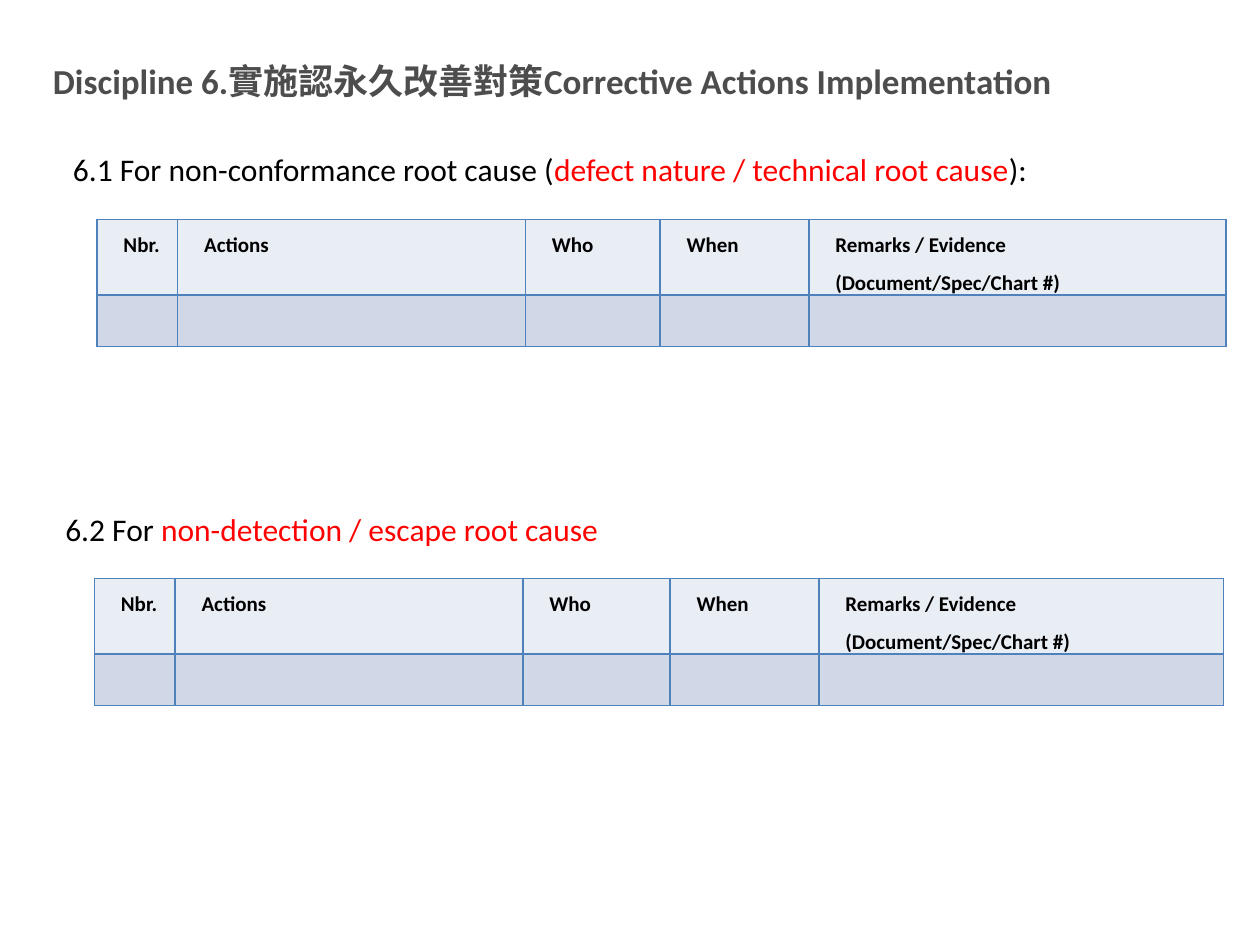
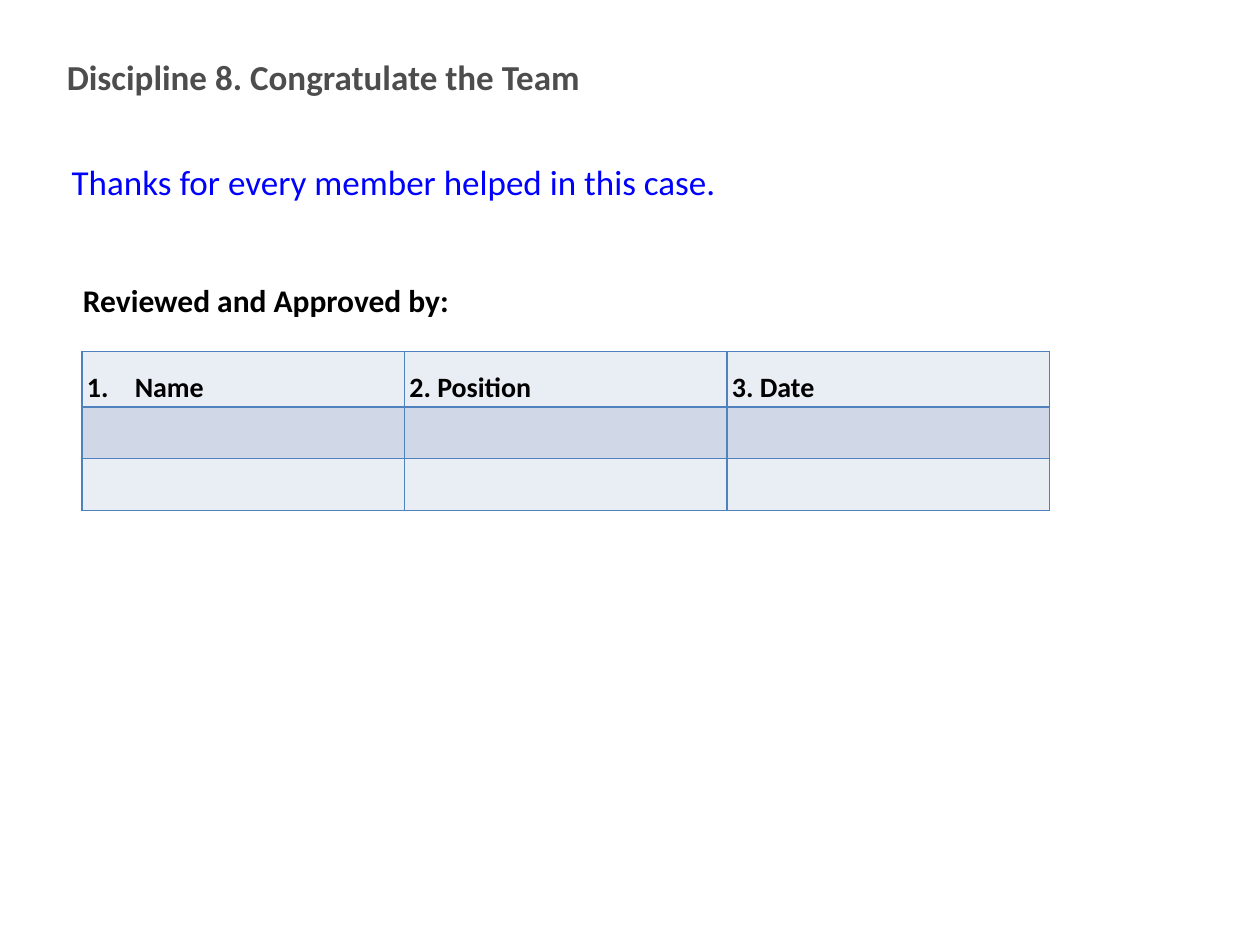
from lxml import etree
from pptx import Presentation
from pptx.dml.color import RGBColor
from pptx.enum import text
from pptx.oxml.ns import qn
from pptx.util import Inches, Pt

FONT = "Calibri"
COLORS = {
    "title": "4D4D4D",
    "text": "000000",
    "accent": "FF0000",
    "thanks": "0000FF",
    "border": "4F81BD",
    "light": "E9EDF4",
    "dark": "D0D8E8",
}
ROW_H = 0.41
ACTION_HEADERS = [["Nbr."], ["Actions"], ["Who"], ["When"],
                  ["Remarks / Evidence", "(Document/Spec/Chart #)"]]


def add_run(p, content, size, color="text", bold=False):
    r = p.add_run()
    r.text = content
    r.font.name = FONT
    r.font.size = Pt(size)
    r.font.bold = bold
    r.font.color.rgb = RGBColor.from_string(COLORS[color])


def set_indent(p, left, first=0):
    pPr = p._p.get_or_add_pPr()
    pPr.set("marL", str(Inches(left)))
    pPr.set("indent", str(Inches(first)))
    return pPr


def add_title(s, box, content):
    title = s.shapes.title
    title.left, title.top, title.width, title.height = map(Inches, box)
    tf = title.text_frame
    tf.auto_size = text.MSO_AUTO_SIZE.NONE
    tf.vertical_anchor = text.MSO_ANCHOR.MIDDLE
    p = tf.paragraphs[0]
    p.alignment = text.PP_ALIGN.LEFT
    add_run(p, content, 20, "title", True)


def add_text(s, box, runs, size, bold=False, anchor=text.MSO_ANCHOR.TOP):
    """Place one line of text made of (content, colour) runs."""
    tf = s.shapes.add_textbox(*map(Inches, box)).text_frame
    tf.word_wrap = True
    tf.vertical_anchor = anchor
    p = tf.paragraphs[0]
    for content, color in runs:
        add_run(p, content, size, color, bold)
    return p


def style_cell(cell, fill):
    tcPr = cell._tc.get_or_add_tcPr()
    for side in ("lnL", "lnR", "lnT", "lnB"):
        ln = etree.SubElement(tcPr, qn(f"a:{side}"), w=str(Pt(1)))
        line_fill = etree.SubElement(ln, qn("a:solidFill"))
        etree.SubElement(line_fill, qn("a:srgbClr"), val=COLORS["border"])
    cell.fill.solid()
    cell.fill.fore_color.rgb = RGBColor.from_string(COLORS[fill])


def add_table(s, left, top, widths, heights):
    """Draw a bordered grid whose rows alternate light and dark."""
    frame = s.shapes.add_table(len(heights), len(widths), Inches(left), Inches(top),
                               Inches(sum(widths)), Inches(sum(heights)))
    table = frame.table
    for column, width in zip(table.columns, widths):
        column.width = Inches(width)
    for i, (row, height) in enumerate(zip(table.rows, heights)):
        row.height = Inches(height)
        for cell in row.cells:
            style_cell(cell, "dark" if i % 2 else "light")
    return table


def set_margins(cell, side, end):
    cell.margin_left = cell.margin_right = Inches(side)
    cell.margin_top = cell.margin_bottom = Inches(end)


def add_action_table(s, left, top, widths):
    table = add_table(s, left, top, widths, [0.6, ROW_H])
    for cell, lines in zip(table.rows[0].cells, ACTION_HEADERS):
        set_margins(cell, 0.07, 0)
        tf = cell.text_frame
        for i, line in enumerate(lines):
            p = tf.add_paragraph() if i else tf.paragraphs[0]
            set_indent(p, 0.14)
            p.line_spacing = 1.5
            add_run(p, line, 12, bold=True)


def add_approval_table(s, left, top):
    table = add_table(s, left, top, [2.56] * 3, [0.44, ROW_H, ROW_H])
    for i, (cell, header) in enumerate(zip(table.rows[0].cells,
                                           ["Name", "2. Position", "3. Date"])):
        set_margins(cell, 0.04, 0.02)
        cell.vertical_anchor = text.MSO_ANCHOR.MIDDLE
        p = cell.text_frame.paragraphs[0]
        if i == 0:  # automatic number in the first column
            pPr = set_indent(p, 0.38, -0.38)
            etree.SubElement(pPr, qn("a:buFont"), typeface="+mj-lt")
            etree.SubElement(pPr, qn("a:buAutoNum"), type="arabicPeriod")
        tabs = etree.SubElement(p._p.get_or_add_pPr(), qn("a:tabLst"))
        etree.SubElement(tabs, qn("a:tab"), pos=str(Inches(0.25)), algn="l")
        p.line_spacing = 1.5
        add_run(p, header, 16, bold=True)


def build_actions(s):
    add_title(s, (0.32, 0.42, 9.13, 0.44),
              "Discipline 6.實施認永久改善對策Corrective Actions Implementation")
    # Non-conformance
    add_text(s, (0.48, 1.14, 8.81, 0.4),
             [("6.1 For non-conformance root cause (", "text"),
              ("defect nature / technical root cause", "accent"),
              ("):", "text")], 18)
    add_action_table(s, 0.77, 1.74, [0.64, 2.76, 1.07, 1.18, 3.31])
    # Non-detection
    add_text(s, (0.42, 4, 9.3, 0.4),
             [("6.2 For ", "text"),
              ("non-detection / escape root cause", "accent")], 18)
    add_action_table(s, 0.75, 4.59, [0.64, 2.76, 1.17, 1.18, 3.21])


def build_congratulations(s):
    add_title(s, (0.43, 0.39, 8.32, 0.43), "Discipline 8. Congratulate the Team")
    add_text(s, (0.47, 1.22, 8.32, 0.44),
             [("Thanks for every member helped in this case.", "thanks")], 20,
             anchor=text.MSO_ANCHOR.MIDDLE)
    # Approval
    p = add_text(s, (0.42, 2.03, 3.6, 0.61),
                 [("Reviewed and Approved by:", "text")], 18, bold=True)
    set_indent(p, 0.14)
    p.line_spacing = 1.5
    add_approval_table(s, 0.65, 2.79)


def main():
    prs = Presentation()
    prs.slide_width, prs.slide_height = Inches(10), Inches(7.5)
    title_only = prs.slide_layouts[5]
    for build in (build_actions, build_congratulations):
        build(prs.slides.add_slide(title_only))
    prs.save("out.pptx")


if __name__ == "__main__":
    main()
